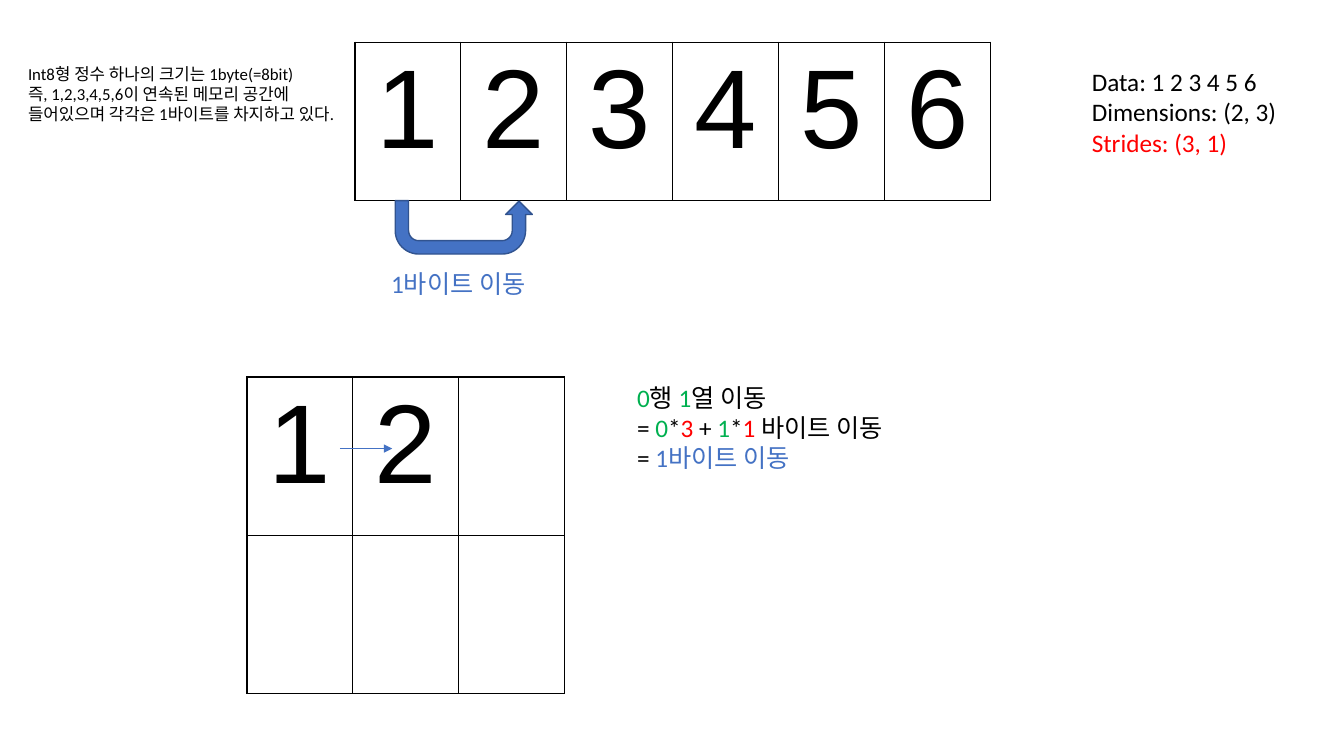
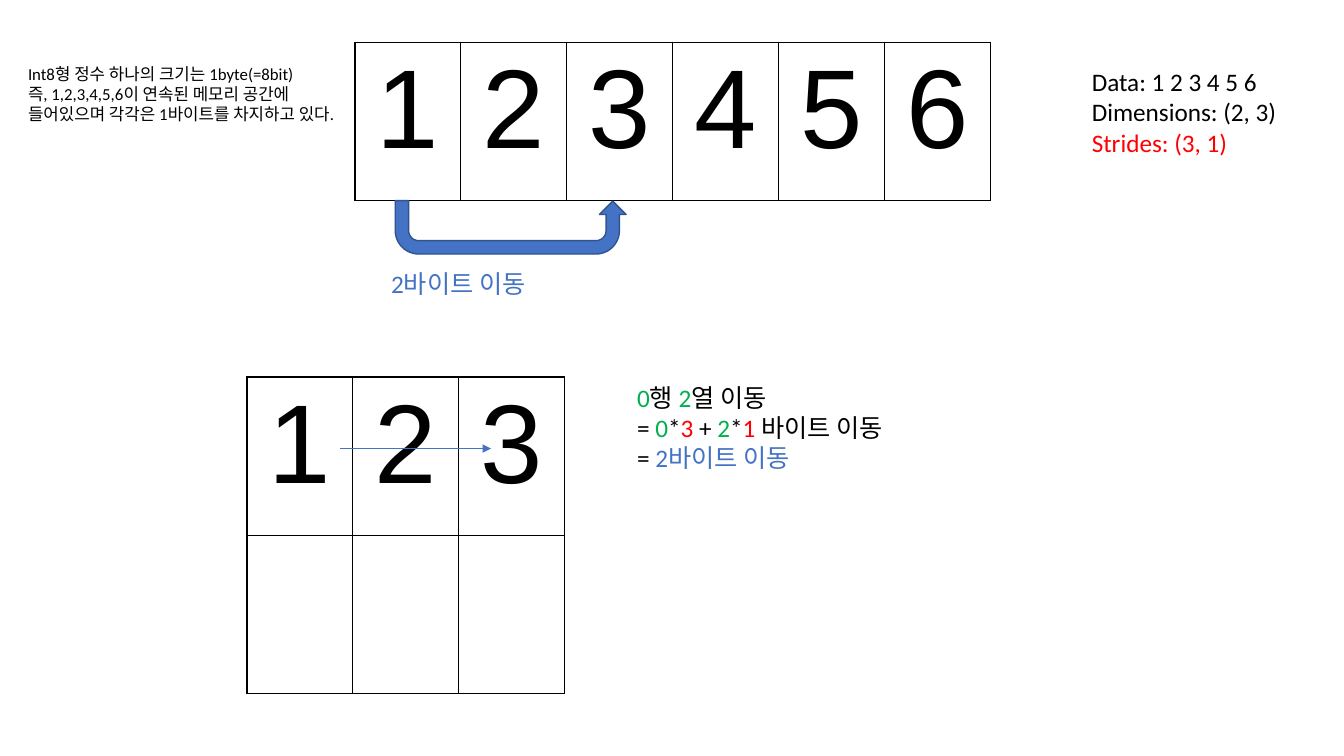
from dataclasses import dataclass

from lxml.etree import SubElement
from pptx import Presentation
from pptx.dml.color import RGBColor
from pptx.enum.shapes import MSO_CONNECTOR, MSO_SHAPE
from pptx.enum.text import MSO_ANCHOR, PP_ALIGN
from pptx.oxml import parse_xml
from pptx.oxml.ns import nsdecls, qn
from pptx.slide import Slide
from pptx.util import Inches, Pt

BLACK = RGBColor(0x00, 0x00, 0x00)
RED = RGBColor(0xFF, 0x00, 0x00)
GREEN = RGBColor(0x00, 0xB0, 0x50)
BLUE = RGBColor(0x44, 0x72, 0xC4)
DARK_BLUE = RGBColor(0x31, 0x53, 0x8F)

CELL_WIDTH = 1.05
CELL_HEIGHT = 1.57
ROW_STRIDE = 3
COLUMN_STRIDE = 1
BODY_SIZE = 18
NOTE_SIZE = 12
DIGIT_FORMAT = {"name": "Arial", "size": Pt(80)}
TABLE_FORMAT = {"first_row": False, "horz_banding": False}
FRAME_FORMAT = {
    "word_wrap": True,
    "vertical_anchor": MSO_ANCHOR.TOP,
    "margin_left": Inches(0.1),
    "margin_right": Inches(0.1),
    "margin_top": Inches(0.05),
    "margin_bottom": Inches(0.05),
}


@dataclass(frozen=True)
class Span:
    text: str
    color: RGBColor = BLACK


@dataclass(frozen=True)
class TextBlock:
    left: float
    top: float
    width: float
    height: float
    lines: list[list[Span]]
    size: int = BODY_SIZE


@dataclass(frozen=True)
class Grid:
    left: float
    top: float
    rows: list[list[str]]


@dataclass(frozen=True)
class Move:
    columns: int
    pointer_end: float
    turn_width: float
    label_width: float


MEMORY = Grid(3.52, 0.42, [list("123456")])
SUMMARY = TextBlock(10.73, 0.61, 2.05, 1.01, [
    [Span("Data: 1 2 3 4 5 6")],
    [Span("Dimensions: (2, 3)")],
    [Span("Strides: (3, 1)", RED)],
])
NOTE = TextBlock(0.18, 0.58, 3.33, 0.91, [
    [Span("Int8형 정수 하나의 크기는 1byte(=8bit)")],
    [Span("즉, 1,2,3,4,5,6이 연속된 메모리 공간에 들어있으며 각각은 1바이트를 차지하고 있다.")],
], NOTE_SIZE)
MOVES = [Move(1, 3.89, 1.36, 1.65), Move(2, 4.87, 2.29, 2.78)]


def apply_format(target: object, values: dict) -> None:
    for name, value in values.items():
        setattr(target, name, value)


def add_text(page: Slide, block: TextBlock) -> None:
    box = page.shapes.add_textbox(
        Inches(block.left), Inches(block.top), Inches(block.width), Inches(block.height)
    )
    frame = box.text_frame
    apply_format(frame, FRAME_FORMAT)
    for index, line in enumerate(block.lines):
        para = frame.paragraphs[0] if index == 0 else frame.add_paragraph()
        for span in line:
            run = para.add_run()
            run.text = span.text
            apply_format(run.font, {"name": "Calibri", "size": Pt(block.size)})
            run.font.color.rgb = span.color


def add_borders(cell) -> None:
    properties = cell._tc.get_or_add_tcPr()
    for index, side in enumerate(("lnL", "lnR", "lnT", "lnB")):
        border = parse_xml(
            f'<a:{side} {nsdecls("a")} w="{Pt(1)}"><a:solidFill>'
            f'<a:srgbClr val="{BLACK}"/></a:solidFill></a:{side}>'
        )
        properties.insert(index, border)


def add_grid(page: Slide, grid: Grid) -> None:
    row_count, column_count = len(grid.rows), len(grid.rows[0])
    table = page.shapes.add_table(
        row_count, column_count, Inches(grid.left), Inches(grid.top),
        Inches(CELL_WIDTH * column_count), Inches(CELL_HEIGHT * row_count),
    ).table
    apply_format(table, TABLE_FORMAT)
    for column in table.columns:
        column.width = Inches(CELL_WIDTH)
    for row, digits in zip(table.rows, grid.rows):
        row.height = Inches(CELL_HEIGHT)
        for cell, digit in zip(row.cells, digits):
            cell.fill.background()
            add_borders(cell)
            if digit:
                para = cell.text_frame.paragraphs[0]
                para.alignment = PP_ALIGN.CENTER
                run = para.add_run()
                run.text = digit
                apply_format(run.font, DIGIT_FORMAT)
                run.font.color.rgb = BLACK


def add_pointer(page: Slide, end: float) -> None:
    level = Inches(4.45)
    pointer = page.shapes.add_connector(
        MSO_CONNECTOR.STRAIGHT, Inches(3.37), level, Inches(end), level
    )
    pointer.line.color.rgb = BLUE
    pointer.line.width = Pt(0.75)
    SubElement(pointer.line._get_or_add_ln(), qn("a:tailEnd"), type="triangle")
    SubElement(pointer._element.spPr, qn("a:effectLst"))


def add_turn(page: Slide, width: float) -> None:
    turn = page.shapes.add_shape(
        MSO_SHAPE.U_TURN_ARROW, Inches(3.92), Inches(1.99), Inches(width), Inches(0.53)
    )
    turn.rotation = 180
    turn._element.spPr.get_or_add_xfrm().set("flipH", "1")
    for index, value in enumerate((0.25, 0.25, 0.25, 0.44, 0.99)):
        turn.adjustments[index] = value
    turn.shadow.inherit = False
    turn.fill.solid()
    turn.fill.fore_color.rgb = BLUE
    turn.line.color.rgb = DARK_BLUE
    turn.line.width = Pt(1)


def formula_lines(columns: int, result: Span) -> list[list[Span]]:
    row_index, column_index = Span("0", GREEN), Span(str(columns), GREEN)
    return [
        [row_index, Span("행 "), column_index, Span("열 이동")],
        [
            Span("= "), row_index, Span("*"), Span(str(ROW_STRIDE), RED), Span(" + "),
            column_index, Span("*"), Span(str(COLUMN_STRIDE), RED), Span(" 바이트 이동"),
        ],
        [Span("= "), result],
    ]


def add_move_page(deck, move: Move) -> None:
    page = deck.slides.add_slide(deck.slide_layouts[6])
    result = Span(f"{move.columns * COLUMN_STRIDE}바이트 이동", BLUE)
    visited = [str(n + 1) if n <= move.columns else "" for n in range(3)]
    add_grid(page, MEMORY)
    add_grid(page, Grid(2.45, 3.74, [visited, [""] * 3]))
    add_text(page, SUMMARY)
    add_text(page, NOTE)
    add_pointer(page, move.pointer_end)
    add_turn(page, move.turn_width)
    add_text(page, TextBlock(3.78, 2.61, move.label_width, 0.4, [[result]]))
    add_text(page, TextBlock(6.22, 3.74, 2.77, 1.01, formula_lines(move.columns, result)))


def main() -> None:
    deck = Presentation()
    apply_format(deck, {"slide_width": Inches(13.33), "slide_height": Inches(7.5)})
    for move in MOVES:
        add_move_page(deck, move)
    deck.save("out.pptx")


if __name__ == "__main__":
    main()
